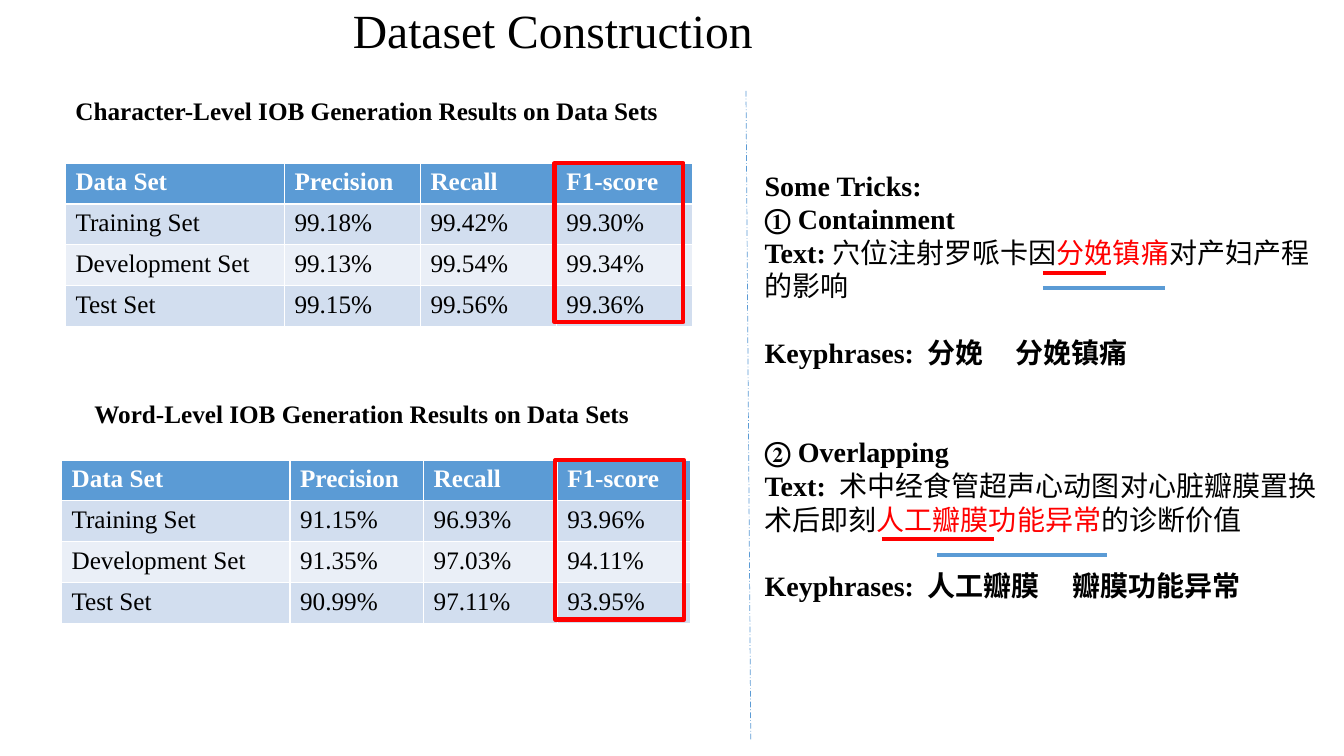
from collections import namedtuple
from dataclasses import dataclass

from lxml.etree import SubElement
from pptx import Presentation
from pptx.dml.color import RGBColor as Rgb
from pptx.enum.dml import MSO_LINE as Dash
from pptx.enum.shapes import MSO_CONNECTOR as Connector, MSO_SHAPE as Shape
from pptx.enum.text import MSO_ANCHOR as Anchor, MSO_AUTO_SIZE as AutoSize, PP_ALIGN as Align
from pptx.oxml.ns import qn
from pptx.util import Cm, Pt

Box = namedtuple("Box", "left top width height")


@dataclass(frozen=True)
class Theme:
    """Colours, type sizes and the font of the slide."""
    font: str = "Times New Roman"
    black: str = "000000"
    white: str = "FFFFFF"
    red: str = "FF0000"
    blue: str = "5B9BD5"
    band_dark: str = "D2DEEF"
    band_light: str = "EAEFF7"
    title: int = 34
    tricks: int = 20
    table: int = 18


THEME = Theme()
HEADINGS = ("Data Set", "Precision", "Recall", "F1-score")
CHARACTER_SCORES = (
    ("Training Set", "99.18%", "99.42%", "99.30%"),
    ("Development Set", "99.13%", "99.54%", "99.34%"),
    ("Test Set", "99.15%", "99.56%", "99.36%"),
)
WORD_SCORES = (
    ("Training Set", "91.15%", "96.93%", "93.96%"),
    ("Development Set", "91.35%", "97.03%", "94.11%"),
    ("Test Set", "90.99%", "97.11%", "93.95%"),
)
TRICKS = (
    dict(name="① Containment", gap=0, text_stop=1.71, key_stops=(4.11, 6.33),
         before="穴位注射罗哌卡因", marked="分娩镇痛", after="对产妇产程的影响",
         keys=("分娩", "分娩镇痛")),
    dict(name="② Overlapping", gap=47, text_stop=1.89, key_stops=(4.11, 7.75),
         before="术中经食管超声心动图对心脏瓣膜置换术后即刻", marked="人工瓣膜功能异常",
         after="的诊断价值", keys=("人工瓣膜", "瓣膜功能异常")),
)
UNDERLINES = (
    (7.26, 2.77, 1.6, THEME.red),
    (7.26, 3.15, 3.07, THEME.blue),
    (3.2, 9.47, 2.82, THEME.red),
    (4.6, 9.88, 4.27, THEME.blue),
)


def write(paragraph, text, size=THEME.tricks, bold=False, color=THEME.black):
    """Append a formatted run to a paragraph."""
    run = paragraph.add_run()
    run.text = text
    run.font.name = THEME.font
    run.font.size = Pt(size)
    run.font.bold = bold
    run.font.color.rgb = Rgb.from_string(color)


def add_frame(slide, box):
    """Add a wrapping text box and return its text frame."""
    frame = slide.shapes.add_textbox(*map(Cm, box)).text_frame
    frame.word_wrap = True
    return frame


def add_line(slide, start, end, color, width, dash=None):
    """Draw a straight line between two points."""
    line = slide.shapes.add_connector(Connector.STRAIGHT, *map(Cm, (*start, *end)))
    line.line.color.rgb = Rgb.from_string(color)
    line.line.width = Pt(width)
    if dash:
        line.line.dash_style = dash
    SubElement(line._element.spPr, qn("a:effectLst"))


def set_tabs(paragraph, stops):
    """Give a paragraph left tab stops at the given distances."""
    tabs = SubElement(paragraph._p.get_or_add_pPr(), qn("a:tabLst"))
    for stop in stops:
        SubElement(tabs, qn("a:tab"), pos=str(int(Cm(stop))), algn="l")


def add_title(slide, box, text):
    """Place the slide title in its placeholder."""
    title = slide.shapes.title
    title.left, title.top, title.width, title.height = map(Cm, box)
    frame = title.text_frame
    frame.auto_size = AutoSize.NONE
    frame.vertical_anchor = Anchor.BOTTOM
    heading = frame.paragraphs[0]
    heading.alignment = Align.LEFT
    heading.line_spacing = 0.9
    write(heading, text, size=THEME.title)


def add_results(slide, box, caption, caption_shift, scores, first_width, header_height):
    """Place a caption, its score table and the frame around the F1 column."""
    shift_x, shift_y = caption_shift
    caption_box = Box(box.left + shift_x, box.top + shift_y, 16.36, 1.02)
    write(add_frame(slide, caption_box).paragraphs[0], caption, size=THEME.table, bold=True)

    rows = (HEADINGS, *scores)
    table = slide.shapes.add_table(len(rows), len(HEADINGS), *map(Cm, box)).table
    score_width = (box.width - first_width) / (len(HEADINGS) - 1)
    row_height = (box.height - header_height) / len(scores)
    for index, column in enumerate(table.columns):
        column.width = Cm(score_width if index else first_width)
    for index, values in enumerate(rows):
        table.rows[index].height = Cm(row_height if index else header_height)
        band = THEME.band_dark if index % 2 else THEME.band_light
        for cell, value in zip(table.rows[index].cells, values):
            cell.fill.solid()
            cell.fill.fore_color.rgb = Rgb.from_string(band if index else THEME.blue)
            write(cell.text_frame.paragraphs[0], value, size=THEME.table,
                  bold=index == 0, color=THEME.black if index else THEME.white)

    f1_left = box.left + box.width - score_width - 0.05
    f1_frame = slide.shapes.add_shape(
        Shape.RECTANGLE, *map(Cm, (f1_left, box.top, 3.25, 4.01)))
    f1_frame.shadow.inherit = False
    f1_frame.fill.background()
    f1_frame.line.color.rgb = Rgb.from_string(THEME.red)
    f1_frame.line.width = Pt(3)


def add_tricks(slide, box):
    """Place the list of tricks and underline the keyphrases."""
    frame = add_frame(slide, box)
    write(frame.paragraphs[0], "Some Tricks:", bold=True)
    for trick in TRICKS:
        name = frame.add_paragraph()
        name.space_before = Pt(trick["gap"])
        write(name, trick["name"], bold=True)
        example = frame.add_paragraph()
        set_tabs(example, [trick["text_stop"]])
        write(example, "Text:\t", bold=True)
        write(example, trick["before"])
        write(example, trick["marked"], color=THEME.red)
        write(example, trick["after"])
        keyphrases = frame.add_paragraph()
        keyphrases.space_before = Pt(23.5)
        set_tabs(keyphrases, trick["key_stops"])
        write(keyphrases, "\t".join(("Keyphrases:", *trick["keys"])), bold=True)
    for left, top, length, color in UNDERLINES:
        x, y = box.left + left, box.top + top
        add_line(slide, (x, y), (x + length, y), color, 3)


def main():
    """Build the slide and save it."""
    deck = Presentation()
    deck.slide_width, deck.slide_height = Cm(33.87), Cm(19.05)
    slide = deck.slides.add_slide(deck.slide_layouts[5])
    add_title(slide, Box(8.64, -0.03, 25.2, 1.65), "Dataset Construction")
    add_results(slide, Box(1.65, 4.11, 15.8, 4.12),
                "Character-Level IOB Generation Results on Data Sets", (0, -1.82),
                CHARACTER_SCORES, first_width=5.52, header_height=1.03)
    add_results(slide, Box(1.55, 11.6, 15.86, 4.04),
                "Word-Level IOB Generation Results on Data Sets", (0.58, -1.69),
                WORD_SCORES, first_width=5.76, header_height=0.94)
    add_line(slide, (18.8, 2.29), (18.92, 18.64), THEME.blue, 0.5, Dash.LONG_DASH_DOT)
    add_tricks(slide, Box(19.02, 4.11, 14.85, 11.38))
    deck.save("out.pptx")


if __name__ == "__main__":
    main()
